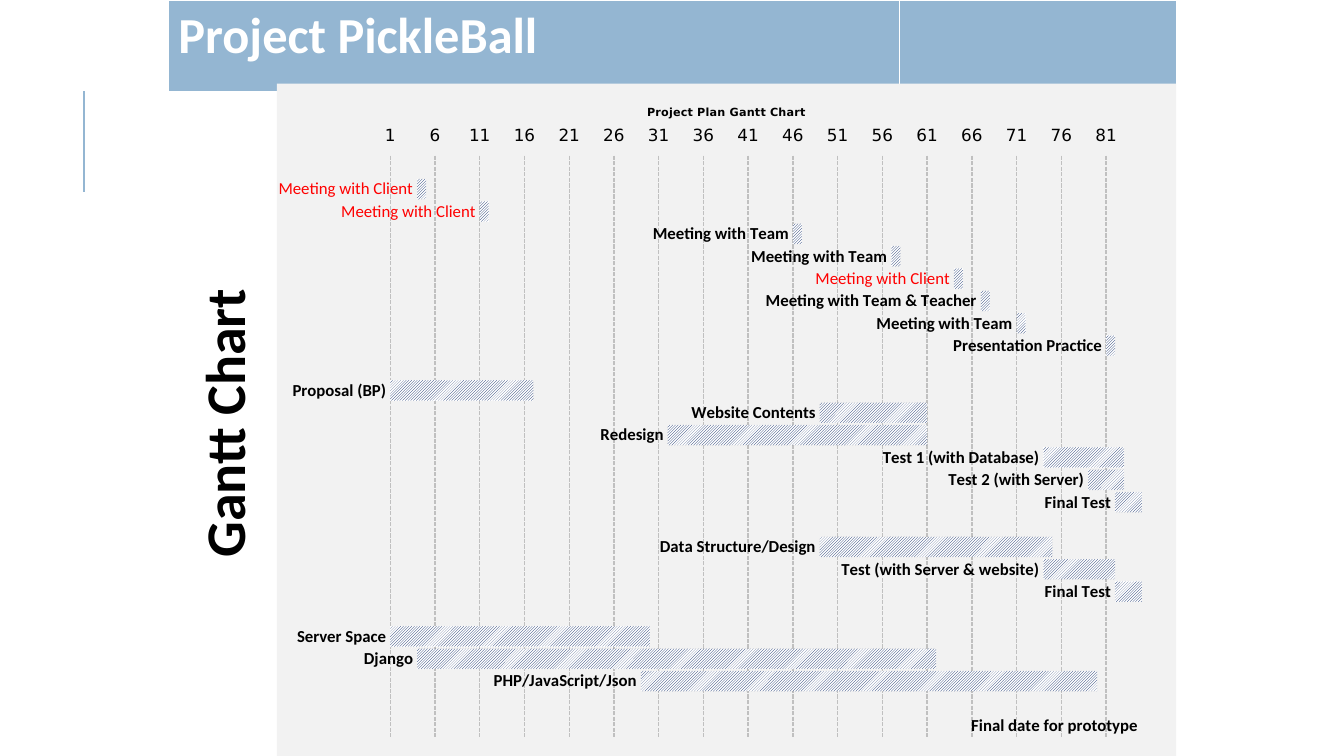
from lxml import etree
from pptx import Presentation, util as u
from pptx.chart.data import CategoryChartData
from pptx.dml.color import RGBColor
from pptx.enum import chart as ch, dml, shapes, text
from pptx.oxml import parse_xml
from pptx.oxml.ns import nsdecls, qn

Cm, Pt = u.Cm, u.Pt
BLUE = "94B6D2"
GAP = ("", None, None)

# Task, first day, number of days; a gap leaves an empty row between groups
TASKS = [
    GAP,
    ("Meeting with Client", 4, 1),
    ("Meeting with Client", 11, 1),
    ("Meeting with Team", 46, 1),
    ("Meeting with Team", 57, 1),
    ("Meeting with Client", 64, 1),
    ("Meeting with Team & Teacher", 67, 1),
    ("Meeting with Team", 71, 1),
    ("Presentation Practice", 81, 1),
    GAP,
    ("Proposal (BP)", 1, 16),
    ("Website Contents", 49, 12),
    ("Redesign", 32, 29),
    ("Test 1 (with Database)", 74, 9),
    ("Test 2 (with Server)", 79, 4),
    ("Final Test", 82, 4),
    GAP,
    ("Data Structure/Design", 49, 26),
    ("Test (with Server & website)", 74, 8),
    ("Final Test", 82, 4),
    GAP,
    ("Server Space", 1, 29),
    ("Django", 4, 58),
    ("PHP/JavaScript/Json", 29, 51),
    GAP,
    ("Final date for prototype", 86, 1),
]


def rgb(value):
    return RGBColor.from_string(value)


def style(font, size, color, bold=False, name="Calibri"):
    font.name, font.size, font.bold = name, Pt(size), bold
    font.color.rgb = rgb(color)


def add_title(slide):
    title = slide.shapes.title
    title.left, title.top, title.width, title.height = Cm(1.96), Cm(9.65), Cm(7.34), Cm(1.96)
    title.rotation = 270
    frame = title.text_frame
    frame.text = "Gantt Chart"
    frame.word_wrap = False
    frame.auto_size = text.MSO_AUTO_SIZE.SHAPE_TO_FIT_TEXT
    frame.vertical_anchor = text.MSO_ANCHOR.TOP
    frame.paragraphs[0].alignment = text.PP_ALIGN.LEFT
    style(frame.paragraphs[0].runs[0].font, 40, "000000", True)


def add_accent_line(slide):
    accent = slide.shapes.add_connector(
        shapes.MSO_CONNECTOR.STRAIGHT, Cm(2.12), Cm(4.83), Cm(2.12), Cm(2.29))
    accent.line.color.rgb = rgb(BLUE)
    accent.line.width = Pt(1.5)
    etree.SubElement(accent._element.spPr, qn("a:effectLst"))


def set_borders(cell, color, widths):
    props = cell._tc.get_or_add_tcPr()
    for side, width in widths.items():
        props.append(parse_xml(
            f'<a:ln{side} {nsdecls("a")} w="{Pt(width)}"><a:solidFill>'
            f'<a:srgbClr val="{color}"/></a:solidFill></a:ln{side}>'))


def add_banner(slide):
    banner = slide.shapes.add_table(1, 2, Cm(4.24), Cm(0), Cm(25.4), Cm(2.34)).table
    for column, width in zip(banner.columns, (18.42, 6.98)):
        column.width = Cm(width)
    banner.cell(0, 0).text_frame.text = "Project PickleBall"
    style(banner.cell(0, 0).text_frame.paragraphs[0].runs[0].font, 36, "FFFFFF", True)
    for cell in banner.iter_cells():
        set_borders(cell, "FFFFFF", {"L": 1, "R": 1, "T": 1, "B": 3})
        cell.fill.solid()
        cell.fill.fore_color.rgb = rgb(BLUE)


def set_chart_area(chart, fill, x, y, w, h):
    """Fill the chart background and fix the inner plot area, in fractions."""
    space = chart._chartSpace
    space.find(qn("c:txPr")).addprevious(parse_xml(
        f'<c:spPr {nsdecls("c", "a")}><a:solidFill><a:srgbClr val="{fill}"/></a:solidFill>'
        '<a:ln><a:noFill/></a:ln></c:spPr>'))
    area = space.chart.plotArea
    for old in area.findall(qn("c:layout")):
        area.remove(old)
    sizes = "".join(f'<c:{key} val="{value}"/>' for key, value in zip("xywh", (x, y, w, h)))
    area.insert(0, parse_xml(
        f'<c:layout {nsdecls("c")}><c:manualLayout><c:layoutTarget val="inner"/>'
        f'<c:xMode val="edge"/><c:yMode val="edge"/>{sizes}</c:manualLayout></c:layout>'))


def format_axes(chart):
    chart.category_axis.reverse_order = True
    chart.category_axis.visible = False
    days = chart.value_axis
    days.minimum_scale, days.maximum_scale, days.major_unit = 1, 85, 5
    days.major_tick_mark = ch.XL_TICK_MARK.OUTSIDE
    days.format.line.fill.background()
    days.tick_labels.number_format = "0"
    days.tick_labels.number_format_is_linked = False
    style(days.tick_labels.font, 12, "000000", name="DejaVu Sans")
    grid = days.major_gridlines.format.line
    grid.color.rgb = rgb("C0C0C0")
    grid.width = Pt(1)
    grid.dash_style = dml.MSO_LINE.SQUARE_DOT


def label_tasks(starts):
    """Name each task beside its bar, client meetings in red."""
    labels = starts.data_labels
    labels.show_value = False
    labels.show_category_name = True
    labels.position = ch.XL_LABEL_POSITION.INSIDE_END
    style(labels.font, 12, "000000", True)
    for index, (task, _, _) in enumerate(TASKS):
        if task == "Meeting with Client":
            label = starts.points[index].data_label
            label.text_frame.text = task
            label.position = ch.XL_LABEL_POSITION.INSIDE_END
            style(label.text_frame.paragraphs[0].runs[0].font, 12, "FF0000")


def add_gantt(slide):
    names, first_days, lengths = zip(*TASKS)
    plan = CategoryChartData()
    plan.categories = names
    plan.add_series("Series 1", first_days)
    plan.add_series("Series 2", lengths)
    chart = slide.shapes.add_chart(
        ch.XL_CHART_TYPE.BAR_STACKED, Cm(6.98), Cm(2.11), Cm(22.66), Cm(16.94), plan).chart
    style(chart.font, 8, "000000", name="DejaVu Sans")
    set_chart_area(chart, "F2F2F2", 0.126, 0.107, 0.836, 0.865)
    chart.has_legend = False
    heading = chart.chart_title.text_frame
    heading.text = "Project Plan Gantt Chart"
    style(heading.paragraphs[0].runs[0].font, 8, "000000", True, "DejaVu Sans")
    format_axes(chart)

    plot = chart.plots[0]
    plot.gap_width, plot.overlap, plot.vary_by_categories = 10, 100, False
    starts, durations = plot.series
    starts.format.fill.background()
    starts.format.line.fill.background()
    label_tasks(starts)
    bars = durations.format.fill
    bars.patterned()
    bars.pattern = dml.MSO_PATTERN.DARK_UPWARD_DIAGONAL
    bars.fore_color.rgb = rgb("002060")
    bars.back_color.rgb = rgb("FFFFFF")
    durations.format.line.fill.background()


def main():
    deck = Presentation()
    deck.slide_width, deck.slide_height = Cm(33.87), Cm(19.05)
    slide = deck.slides.add_slide(deck.slide_layouts.get_by_name("Title Only"))
    add_accent_line(slide)
    add_banner(slide)
    add_title(slide)
    add_gantt(slide)
    deck.save("out.pptx")


if __name__ == "__main__":
    main()
